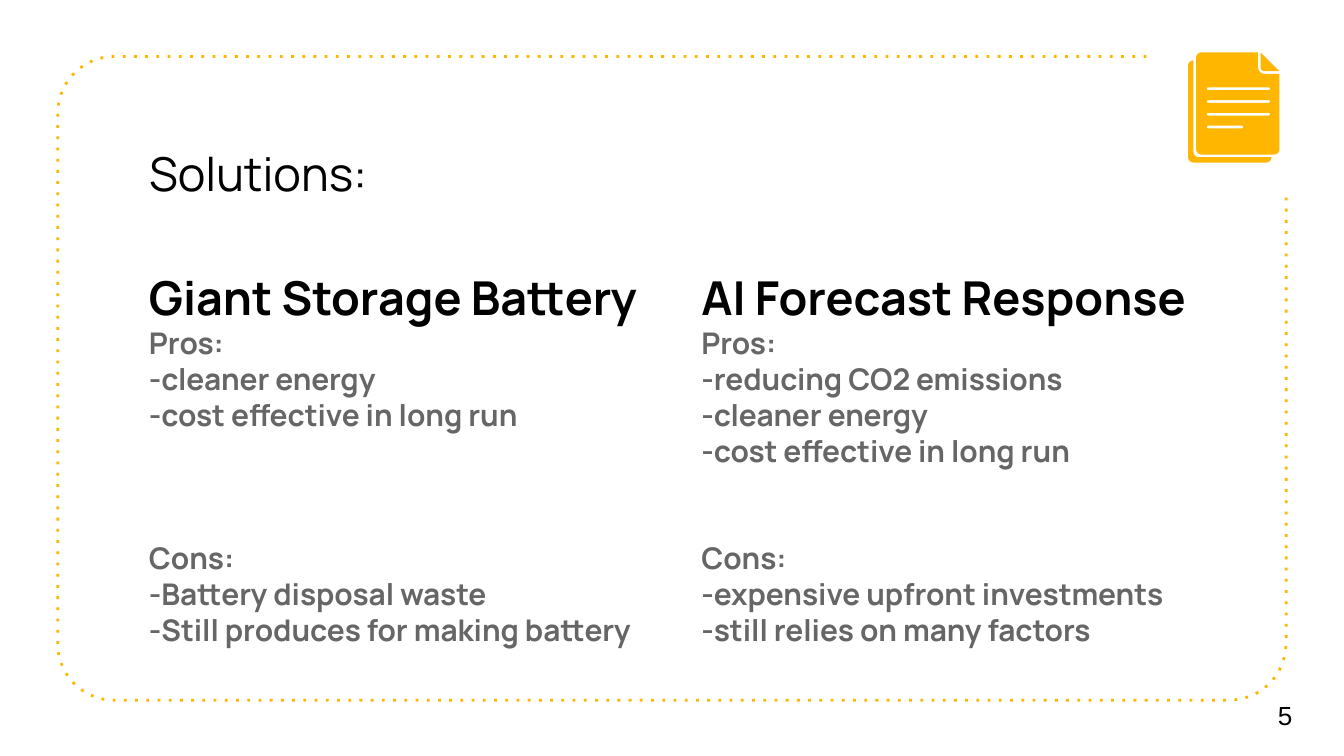
from math import cos, pi, sin
from pptx import Presentation
from pptx.dml.color import RGBColor
from pptx.enum.dml import MSO_LINE
from pptx.enum.text import MSO_ANCHOR, MSO_AUTO_SIZE, PP_ALIGN
from pptx.oxml.ns import qn
from pptx.util import Inches, Pt

DOT, LEFT = MSO_LINE.ROUND_DOT, PP_ALIGN.LEFT
TOP, MID = MSO_ANCHOR.TOP, MSO_ANCHOR.MIDDLE
FIT = MSO_AUTO_SIZE.NONE
HUE = {"gold": "FFB600", "ink": "000000", "gray": "666666"}
FONT = "Manrope"
ROW = 19.2  # height of one body line, points

# Content: box, heading, pros, cons, empty rows before the cons
TITLE = "Solutions:"
COLS = [
    ((5.12, 1.9, 4.29, 2.75), "AI Forecast Response",
     ["reducing CO2 emissions", "cleaner energy",
      "cost effective in long run"],
     ["expensive upfront investments", "still relies on many factors"], 2),
    ((1.01, 1.9, 3.88, 2.75), "Giant Storage Battery",
     ["cleaner energy", "cost effective in long run"],
     ["Battery disposal waste", "Still produces for making battery"], 3),
]

# Slide in 16:9
deck = Presentation()
deck.slide_width = Inches(10)
deck.slide_height = deck.slide_width * 9 // 16
slide = deck.slides.add_slide(deck.slide_layouts[5])


def color(key):
    return RGBColor.from_string(HUE[key])


def arc(x, y, r, start, turn=90):
    """Points of an arc around x, y; angles run clockwise from the right."""
    steps = [(start + turn * i / 8) * pi / 180 for i in range(9)]
    return [(x + r * cos(a), y + r * sin(a)) for a in steps]


def slot(x, y, w, h):
    """A bar with round ends."""
    r = h / 2
    return (arc(x + r, y + r, r, 90, 180)
            + arc(x + w - r, y + r, r, 270, 180))


def draw(*loops, closed=True):
    """One freeform made of several outlines."""
    loops = [[(Inches(x), Inches(y)) for x, y in loop] for loop in loops]
    pen = slide.shapes.build_freeform(*loops[0][0])
    for i, loop in enumerate(loops):
        if i:
            pen.move_to(*loop[0])
        pen.add_line_segments(loop[1:], close=closed)
    part = pen.convert_to_shape()
    part.shadow.inherit = False
    if closed:
        part.fill.solid()
        part.fill.fore_color.rgb = color("gold")
        part.line.fill.background()
    else:
        part.fill.background()
        part.line.color.rgb = color("gold")
        part.line.width = Pt(1.5)
        part.line.dash_style = DOT
        # Widely spaced dots
        for dash in part.element.iter(qn("a:prstDash")):
            dash.set("val", "dot")


def write(part, box, lines, anchor=TOP):
    """Lines hold text, size, color, bold, font, space before."""
    part.left, part.top, part.width, part.height = map(Inches, box)
    frame = part.text_frame
    frame.word_wrap, frame.auto_size = True, FIT
    frame.vertical_anchor = anchor
    frame.margin_left = frame.margin_right = Inches(0.1)
    frame.margin_top = frame.margin_bottom = Inches(0.1)
    frame.text = "\n".join(line[0] for line in lines)
    for para, line in zip(frame.paragraphs, lines):
        _, size, key, bold, font, gap = line
        para.alignment = LEFT
        para.space_before, para.space_after = Pt(gap), Pt(0)
        look = para.runs[0].font
        look.size, look.bold, look.name = Pt(size), bold, font
        look.color.rgb = color(key)


def add_box():
    return slide.shapes.add_textbox(0, 0, 0, 0)


# Dotted frame, open at the top right corner
x1, y1, x2, y2, r = 0.43, 0.42, 9.57, 5.21, 0.42
draw([(8.53, y1)]
     + arc(x1 + r, y1 + r, r, 270, -90)
     + arc(x1 + r, y2 - r, r, 180, -90)
     + arc(x2 - r, y2 - r, r, 90, -90)
     + [(x2, 1.46)], closed=False)

# Title
write(slide.shapes.title, (1.01, 0.98, 7.51, 0.94),
      [(TITLE, 25, "ink", False, FONT, 0)])

# Two columns of pros and cons
for box, head, pros, cons, rows in COLS:
    lines = [(head, 25, "ink", True, FONT, 0)]
    for name, items, gap in (("Pros:", pros, 0), ("Cons:", cons, rows * ROW)):
        lines.append((name, 16, "gray", True, FONT, gap))
        lines += [("-" + item, 16, "gray", True, FONT, 0) for item in items]
    write(add_box(), box, lines)

# Slide number
write(add_box(), (9.41, 5.02, 0.59, 0.6),
      [("5", 14, "ink", False, "Arial", 0)], MID)

# Page icon: back sheet, front sheet with text slots, folded corner
c = 0.04
draw(arc(8.88, 0.49, c, 270, -90) + arc(8.88, 1.17, c, 180, -90)
     + arc(9.42, 1.17, c, 90, -90) + arc(8.92, 1.13, c, 90, 90)
     + [(8.88, 0.45)])
sheet = (arc(8.94, 0.43, c, 270, -90) + arc(8.94, 1.11, c, 180, -90)
         + arc(9.48, 1.11, c, 90, -90) + [(9.52, 0.55)]
         + arc(9.41, 0.5, 0.05, 90, 90) + [(9.36, 0.39)])
slots = [slot(8.98, 0.65 + 0.095 * i, w, 0.02)
         for i, w in enumerate((0.47, 0.47, 0.47, 0.27))]
draw(sheet, *slots)
draw([(9.38, 0.39)] + arc(9.41, 0.5, 0.03, 180, -90) + [(9.52, 0.53)])

deck.save("out.pptx")
